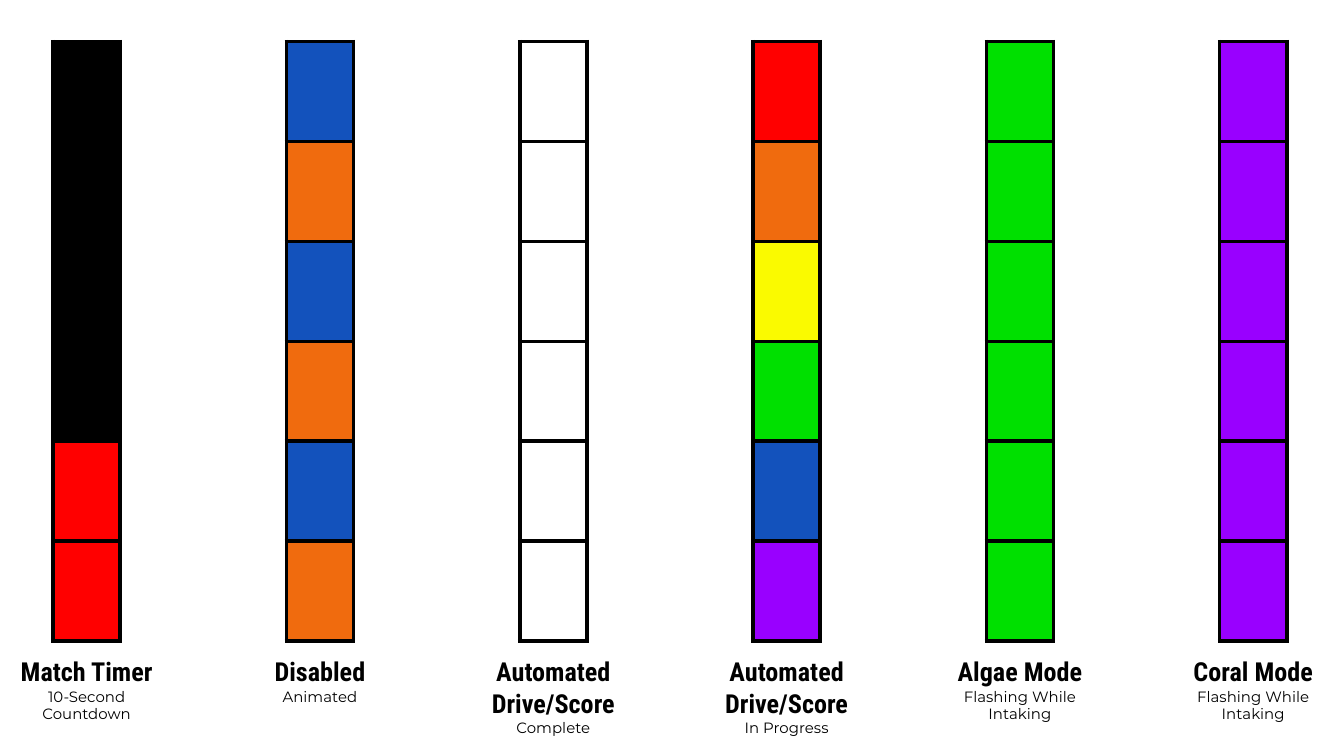
from dataclasses import dataclass

from lxml import etree
from pptx import Presentation
from pptx.dml.color import RGBColor
from pptx.enum import text
from pptx.oxml import ns
from pptx.util import Inches, Pt


@dataclass(frozen=True)
class Theme:
    black: str = "000000"
    white: str = "FFFFFF"
    red: str = "FF0000"
    orange: str = "F06B0E"
    yellow: str = "FAFA00"
    green: str = "00E000"
    blue: str = "1352BC"
    purple: str = "9900FF"
    border: float = 2.25
    title: tuple = ("Roboto Condensed", 14, True)
    note: tuple = ("Montserrat", 8, False)


THEME = Theme()
SEGMENTS = 6
# A title that ends with a space shares its paragraph with the note.
MODES = [
    ("Match Timer", "10-Second Countdown", [THEME.black] * 4 + [THEME.red] * 2),
    ("Disabled", "Animated", [THEME.blue, THEME.orange] * 3),
    ("Automated Drive/Score ", "Complete", [THEME.white] * SEGMENTS),
    ("Automated Drive/Score", "In Progress",
     [THEME.red, THEME.orange, THEME.yellow, THEME.green, THEME.blue, THEME.purple]),
    ("Algae Mode", "Flashing While Intaking", [THEME.green] * SEGMENTS),
    ("Coral Mode", "Flashing While Intaking", [THEME.purple] * SEGMENTS),
]


def set_attributes(target, values):
    for name, value in values.items():
        setattr(target, name, value)


def outline_cell(cell):
    """Draw the four borders, which must precede the fill in the cell's XML."""
    properties = cell._tc.get_or_add_tcPr()
    for position, side in enumerate(("lnL", "lnR", "lnT", "lnB")):
        line = etree.Element(ns.qn(f"a:{side}"), w=str(Pt(THEME.border)))
        fill = etree.SubElement(line, ns.qn("a:solidFill"))
        etree.SubElement(fill, ns.qn("a:srgbClr"), val=THEME.black)
        properties.insert(position, line)


def add_light_strip(slide, left, top, width, height, colors):
    frame = slide.shapes.add_table(
        len(colors), 1, Inches(left), Inches(top), Inches(width), Inches(height))
    table = frame.table
    set_attributes(table, {"first_row": False, "horz_banding": False})
    for row, color in zip(table.rows, colors):
        cell = row.cells[0]
        cell.fill.solid()
        cell.fill.fore_color.rgb = RGBColor.from_string(color)
        outline_cell(cell)


def add_run(paragraph, words, style):
    paragraph.alignment = text.PP_ALIGN.CENTER
    run = paragraph.add_run()
    run.text = words
    name, size, bold = style
    set_attributes(run.font, {"name": name, "size": Pt(size), "bold": bold})
    run.font.color.rgb = RGBColor.from_string(THEME.black)


def add_caption(slide, left, top, width, height, title, note):
    box = slide.shapes.add_textbox(
        Inches(left), Inches(top), Inches(width), Inches(height))
    frame = box.text_frame
    margins = ("margin_left", "margin_right", "margin_top", "margin_bottom")
    set_attributes(frame, {"word_wrap": True, **dict.fromkeys(margins, Inches(0.1))})
    paragraph = frame.paragraphs[0]
    add_run(paragraph, title, THEME.title)
    if not title.endswith(" "):
        paragraph = frame.add_paragraph()
    add_run(paragraph, note, THEME.note)


def add_mode(slide, left, top, width, title, note, colors):
    """Place a light strip with its caption below, in a column of the given width."""
    strip_width, strip_height = 0.5, 4.46
    add_light_strip(slide, left + (width - strip_width) / 2, top,
                    strip_width, strip_height, colors)
    add_caption(slide, left, top + strip_height + 0.01, width, 0.44, title, note)


def main():
    presentation = Presentation()
    slide_width = 10
    set_attributes(presentation, {
        "slide_width": Inches(slide_width),
        "slide_height": Inches(slide_width * 9 / 16),
    })
    slide = presentation.slides.add_slide(presentation.slide_layouts[6])
    column_width, last_left = 1.29, 8.68
    pitch = last_left / (len(MODES) - 1)
    for index, mode in enumerate(MODES):
        add_mode(slide, index * pitch, 0.31, column_width, *mode)
    presentation.save("out.pptx")


if __name__ == "__main__":
    main()
